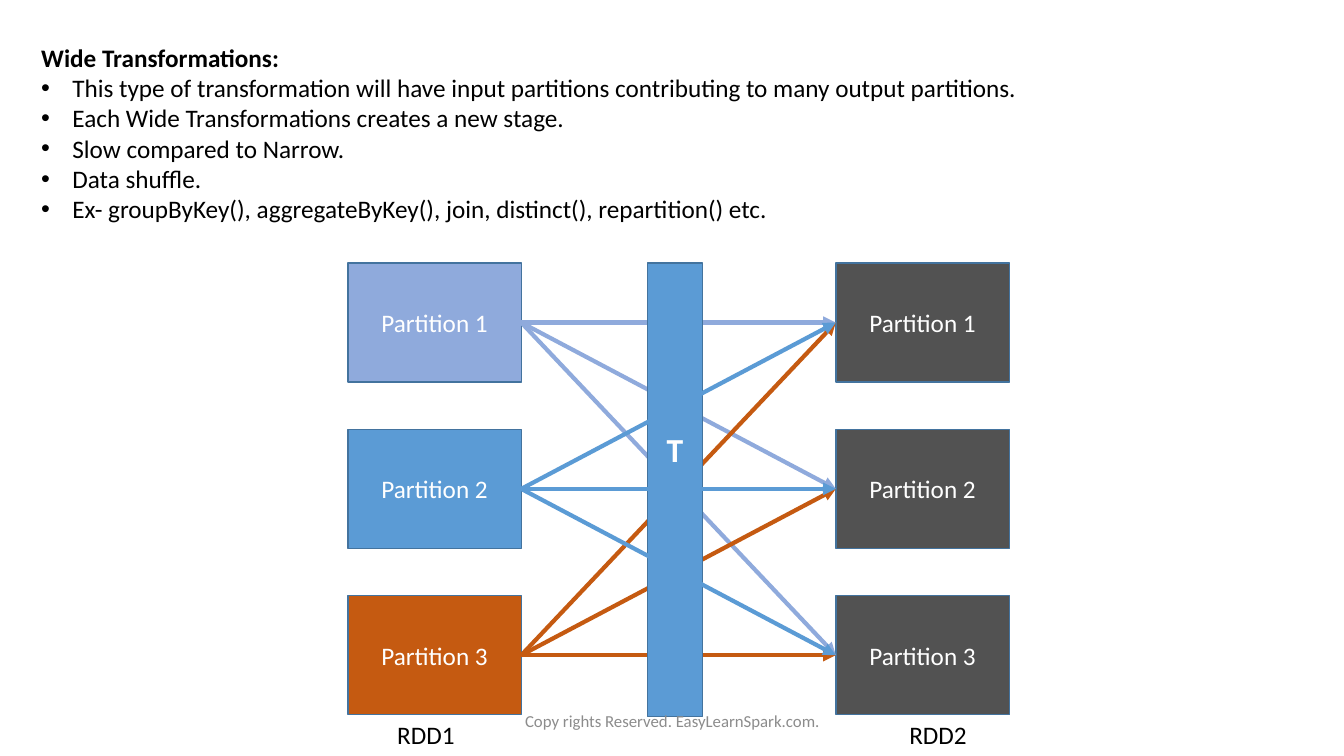
from lxml.etree import SubElement
from pptx import Presentation
from pptx.dml.color import RGBColor
from pptx.enum.shapes import MSO_CONNECTOR, MSO_SHAPE
from pptx.enum.text import MSO_ANCHOR, PP_ALIGN
from pptx.oxml.ns import qn
from pptx.util import Inches, Pt

TITLE = "Wide Transformations:"
POINTS = [
    "This type of transformation will have input partitions contributing to many output partitions.",
    "Each Wide Transformations creates a new stage.\u00a0",
    "Slow compared to Narrow.",
    "Data shuffle.",
    "Ex- groupByKey(), aggregateByKey(), join, distinct(), repartition() etc.",
]
PARTS = ["Partition 1", "Partition 2", "Partition 3"]
LIGHT, BLUE, RUST, GRAY = "8FAADC", "5B9BD5", "C55A11", "525252"
INPUTS = [LIGHT, BLUE, RUST]
EDGE, WHITE, BLACK = "43739E", "FFFFFF", "000000"
FOOTER = "Copy rights Reserved. EasyLearnSpark.com."

# Grid in inches: two columns of boxes, three rows, a bar between
LEFT, RIGHT, TOP = 3.45, 8.29, 2.61
WIDE, HIGH, STEP = 1.72, 1.18, 1.65
BAR = (6.42, TOP, 0.55, 4.5)
BASE = TOP + 2 * STEP + HIGH
LABELS = [("RDD1", 3.84), ("RDD2", 8.92)]

deck = Presentation()
deck.slide_width, deck.slide_height = Inches(13.33), Inches(7.5)
slide = deck.slides.add_slide(deck.slide_layouts[6])
shapes = slide.shapes


def paint(color):
    return RGBColor.from_string(color)


def style(para, text, color, size=18, bold=False, align=PP_ALIGN.LEFT):
    para.alignment = align
    run = para.add_run()
    run.text = text
    look = {"name": "Calibri", "size": Pt(size), "bold": bold}
    for key, value in look.items():
        setattr(run.font, key, value)
    run.font.color.rgb = paint(color)


def write(at, text, color=BLACK, anchor=MSO_ANCHOR.TOP, **look):
    frame = shapes.add_textbox(*map(Inches, at)).text_frame
    frame.word_wrap = True
    frame.vertical_anchor = anchor
    style(frame.paragraphs[0], text, color, **look)
    return frame


def block(at, text, fill, **look):
    box = shapes.add_shape(MSO_SHAPE.RECTANGLE, *map(Inches, at))
    box.shadow.inherit = False
    box.fill.solid()
    box.fill.fore_color.rgb = paint(fill)
    box.line.color.rgb = paint(EDGE)
    box.line.width = Pt(1)
    frame = box.text_frame
    frame.vertical_anchor = MSO_ANCHOR.MIDDLE
    style(frame.paragraphs[0], text, WHITE, align=PP_ALIGN.CENTER, **look)
    return box


def bullet(para):
    props = para._p.get_or_add_pPr()
    indent = Inches(0.31)
    props.set("marL", str(indent))
    props.set("indent", str(-indent))
    SubElement(props, qn("a:buFont"), typeface="Arial")
    SubElement(props, qn("a:buChar"), char="•")


def arrow(start, end, color):
    """Join the right side of one box to the left side of another."""
    link = shapes.add_connector(MSO_CONNECTOR.STRAIGHT, 0, 0, 0, 0)
    link.begin_connect(start, 3)
    link.end_connect(end, 1)
    link.line.color.rgb = paint(color)
    link.line.width = Pt(3)
    SubElement(link.line._get_or_add_ln(), qn("a:tailEnd"), type="triangle")
    SubElement(link._element.spPr, qn("a:effectLst"))


def column(left, fills):
    return [block((left, TOP + row * STEP, WIDE, HIGH), name, fill)
            for row, (name, fill) in enumerate(zip(PARTS, fills))]


def fan(row):
    for target in targets:
        arrow(sources[row], target, INPUTS[row])


intro = write((0.31, 0.37, 11.65, 1.92), TITLE, bold=True)
for point in POINTS:
    para = intro.add_paragraph()
    bullet(para)
    style(para, point, BLACK)

sources = column(LEFT, INPUTS)
targets = column(RIGHT, [GRAY] * len(PARTS))
for name, left in LABELS:
    write((left, BASE, 1.08, 0.4), name)

# The first and last fans run behind the bar, the middle one in front
fan(0)
fan(2)
bar = block(BAR, "T", BLUE, size=24, bold=True)
bar.text_frame.margin_bottom = Inches(0.85)
fan(1)

write((4.42, 6.95, 4.5, 0.4), FOOTER, "8C8C8C", MSO_ANCHOR.MIDDLE,
      size=12, align=PP_ALIGN.CENTER)

deck.save("out.pptx")
